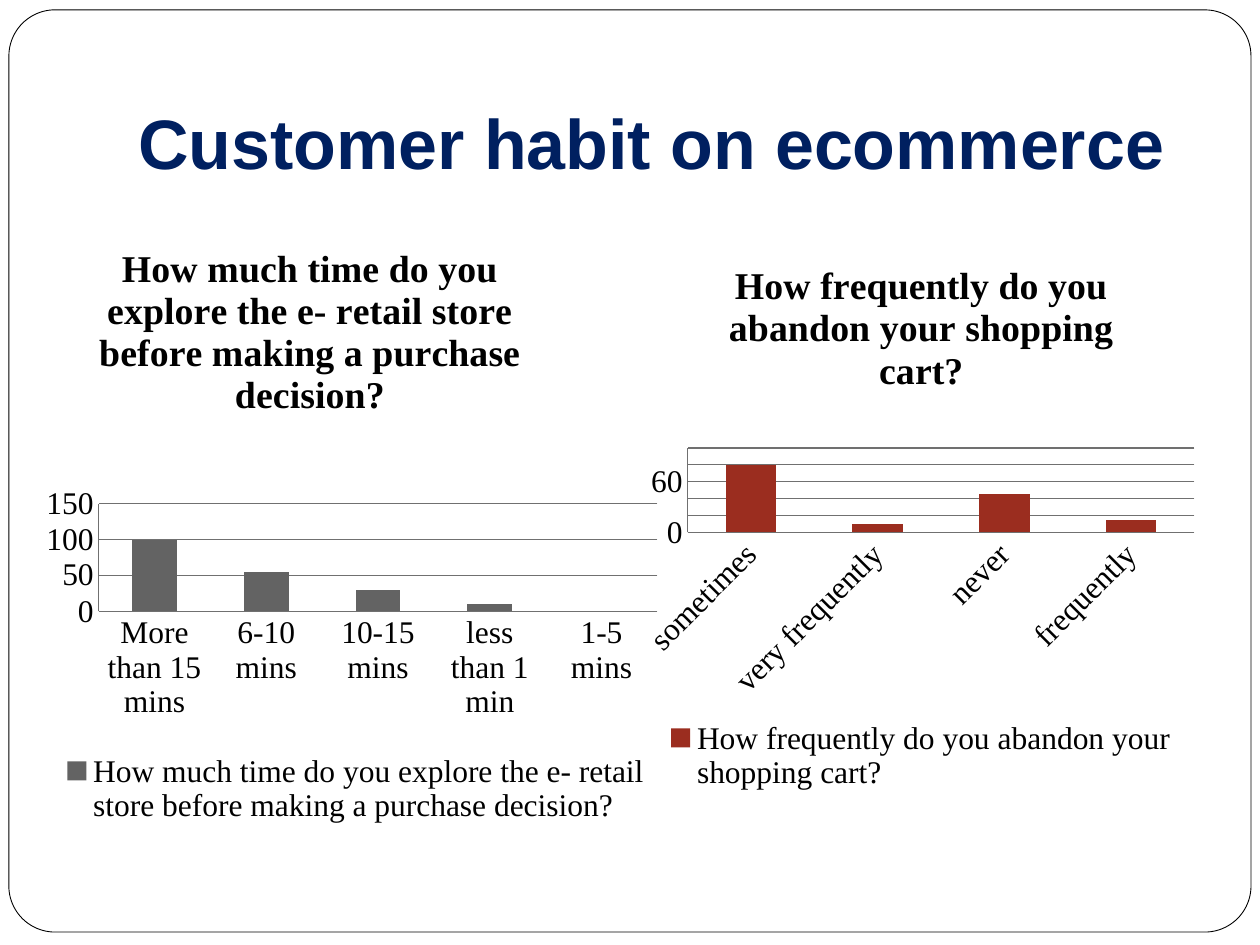
from lxml.etree import SubElement
from pptx import Presentation
from pptx.chart.data import CategoryChartData
from pptx.dml.color import RGBColor
from pptx.enum.chart import XL_CHART_TYPE, XL_LEGEND_POSITION, XL_TICK_MARK
from pptx.enum.shapes import MSO_SHAPE
from pptx.enum.text import MSO_ANCHOR, PP_ALIGN
from pptx.oxml.ns import qn
from pptx.util import Cm, Pt

WHITE = RGBColor(0xFF, 0xFF, 0xFF)
BLACK = RGBColor(0, 0, 0)
NAVY = RGBColor(0x00, 0x20, 0x60)
GRAY = RGBColor(0x63, 0x63, 0x63)
RED = RGBColor(0x9B, 0x2D, 0x1F)
AXIS_GRAY = RGBColor(0x70, 0x70, 0x70)


def set_font(font, name, size, color, bold=False):
    font.name = name
    font.size = Pt(size)
    font.bold = bold
    font.color.rgb = color


def place(part, after, position, inner=False):
    for old in part.findall(qn("c:layout")):
        part.remove(old)
    layout = SubElement(part, qn("c:layout"))
    manual = SubElement(layout, qn("c:manualLayout"))
    if inner:
        SubElement(manual, qn("c:layoutTarget")).set("val", "inner")
    for key in "xy":
        SubElement(manual, qn(f"c:{key}Mode")).set("val", "edge")
    for key, value in zip("xywh", position):
        SubElement(manual, qn(f"c:{key}")).set("val", str(value))
    if after:
        part.find(qn(after)).addnext(layout)
    else:
        part.insert(0, layout)


deck = Presentation()
deck.slide_width = Cm(25.4)
deck.slide_height = Cm(19.05)
page = deck.slides.add_slide(deck.slide_layouts[6])

frame = page.shapes.add_shape(MSO_SHAPE.ROUNDED_RECTANGLE, Cm(0.18), Cm(0.2), Cm(25.04), Cm(18.59))
frame.adjustments[0] = 0.05
frame.shadow.inherit = False
frame.fill.solid()
frame.fill.fore_color.rgb = WHITE
frame.line.color.rgb = BLACK
frame.line.width = Pt(0.5)

heading = page.shapes.add_textbox(Cm(2.54), Cm(0.76), Cm(21.59), Cm(3.18))
heading.text_frame.word_wrap = True
heading.text_frame.vertical_anchor = MSO_ANCHOR.BOTTOM
heading.text_frame.margin_bottom = Cm(0.25)
para = heading.text_frame.paragraphs[0]
para.alignment = PP_ALIGN.LEFT
span = para.add_run()
span.text = "Customer habit on ecommerce"
set_font(span.font, "Arial", 40, NAVY, True)

charts = [
    dict(
        question="How much time do you explore the e- retail store before making a purchase decision?",
        answers=["More than 15 mins", "6-10 mins", "10-15 mins", "less than 1 min", "1-5 mins"],
        counts=[100, 55, 30, 10, None],
        box=(0.71, 4.52, 12.8, 12.8), color=GRAY, top=150, step=50, turn=0,
        title=(0.09, 0.02), plot=(0.1, 0.44, 0.88, 0.17), legend=(0.04, 0.83, 0.93, 0.12),
    ),
    dict(
        question="How frequently do you abandon your shopping cart?",
        answers=["sometimes", "very frequently", "never", "frequently"],
        counts=[80, 10, 45, 15],
        box=(12.7, 4.52, 11.61, 12.19), color=RED, top=100, step=20, turn=-45,
        title=(0.16, 0.05), plot=(0.1, 0.37, 0.88, 0.14), legend=(0.06, 0.82, 0.89, 0.12),
    ),
]

for item in charts:
    data = CategoryChartData()
    data.categories = item["answers"]
    data.add_series(item["question"], item["counts"])
    box = page.shapes.add_chart(XL_CHART_TYPE.COLUMN_STACKED, *map(Cm, item["box"]), data)
    chart = box.chart
    set_font(chart.font, "Times New Roman", 18, BLACK)

    chart.has_title = True
    span = chart.chart_title.text_frame.paragraphs[0].add_run()
    span.text = item["question"]
    set_font(span.font, "Times New Roman", 21.6, BLACK, True)

    chart.has_legend = True
    chart.legend.position = XL_LEGEND_POSITION.BOTTOM
    chart.legend.include_in_layout = False

    plot = chart.plots[0]
    plot.vary_by_categories = False
    plot.gap_width = 150
    plot.overlap = 100
    bars = plot.series[0].format.fill
    bars.solid()
    bars.fore_color.rgb = item["color"]

    counts = chart.value_axis
    counts.minimum_scale = 0
    counts.maximum_scale = item["top"]
    counts.major_unit = item["step"]
    counts.has_major_gridlines = True
    for axis in (chart.category_axis, counts):
        axis.major_tick_mark = XL_TICK_MARK.NONE
        axis.minor_tick_mark = XL_TICK_MARK.NONE
    for line in (chart.category_axis.format.line, counts.format.line, counts.major_gridlines.format.line):
        line.color.rgb = AXIS_GRAY
        line.width = Pt(0.75)
    if item["turn"]:
        labels = chart.category_axis.tick_labels
        set_font(labels.font, "Times New Roman", 18, BLACK)
        body = chart.category_axis._element.find(qn("c:txPr")).find(qn("a:bodyPr"))
        body.set("rot", str(item["turn"] * 60000))

    root = chart._chartSpace.find(qn("c:chart"))
    place(root.find(qn("c:title")), "c:tx", item["title"])
    place(root.find(qn("c:plotArea")), None, item["plot"], True)
    place(root.find(qn("c:legend")), "c:legendPos", item["legend"])

deck.save("out.pptx")
